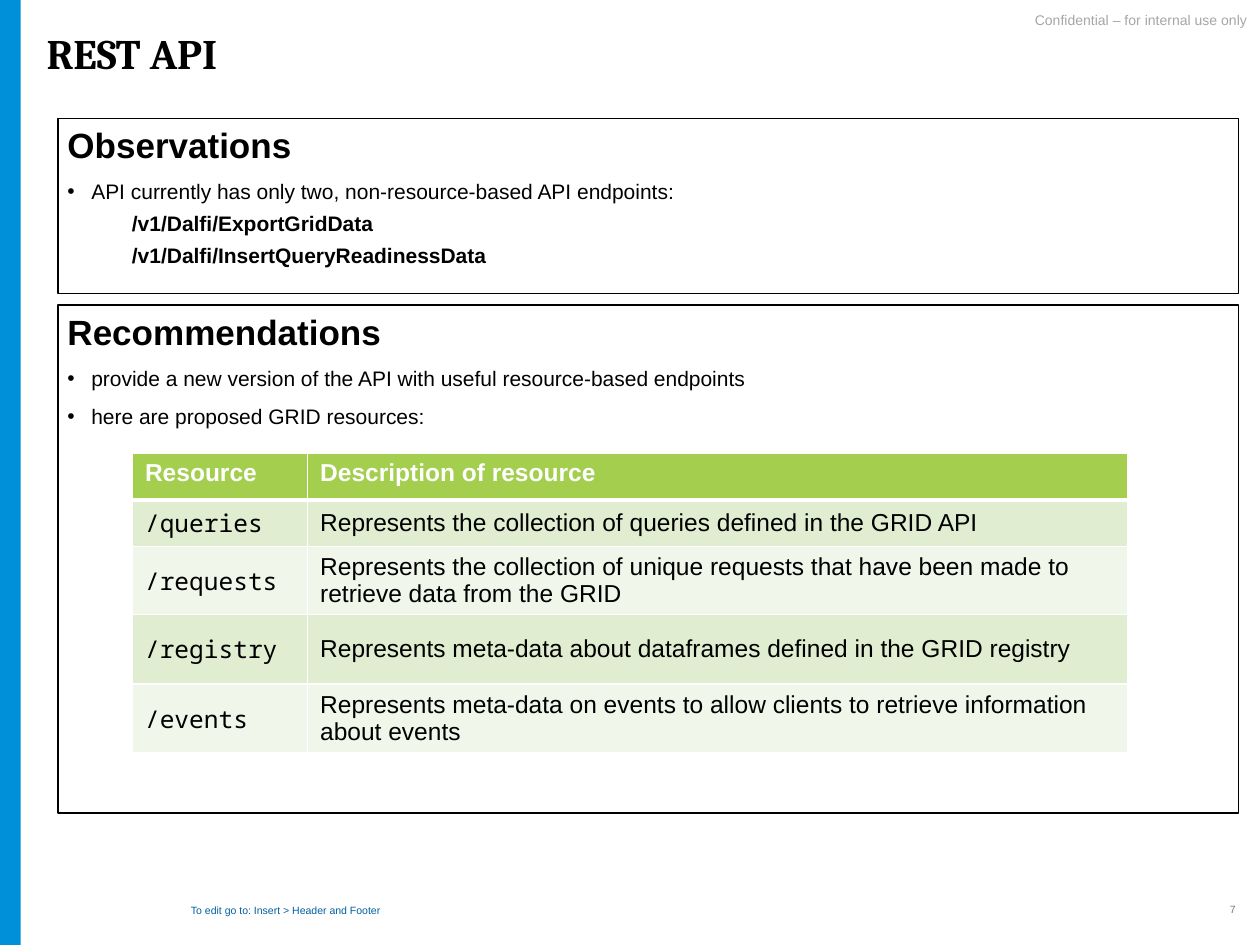
from lxml.etree import SubElement
from pptx import Presentation
from pptx.dml.color import RGBColor
from pptx.enum.shapes import MSO_SHAPE
from pptx.enum.text import MSO_ANCHOR, MSO_AUTO_SIZE, PP_ALIGN
from pptx.oxml.ns import qn
from pptx.util import Cm, Pt

COLORS = {
    "black": "000000",
    "white": "FFFFFF",
    "stripe": "0090DA",
    "notice": "A6A6A6",
    "number": "75787B",
    "footer": "0061A0",
    "header": "A3CE4E",
    "odd": "E0EDD0",
    "even": "F0F6E9",
}


def style_text(para, size, color, bold=False, name="Arial"):
    para.font.size = Pt(size)
    para.font.bold = bold
    para.font.name = name
    para.font.color.rgb = RGBColor.from_string(COLORS[color])


def set_frame(frame, anchor, side=0.19, edge=0.1):
    frame.word_wrap = True
    frame.auto_size = MSO_AUTO_SIZE.NONE
    frame.vertical_anchor = anchor
    frame.margin_left = frame.margin_right = Cm(side)
    frame.margin_top = frame.margin_bottom = Cm(edge)


deck = Presentation()
deck.slide_width, deck.slide_height = Cm(25.4), Cm(19.05)
page = deck.slides.add_slide(deck.slide_layouts.get_by_name("Two Content"))
title, observations, recommendations = page.placeholders

stripe = page.shapes.add_shape(MSO_SHAPE.RECTANGLE, 0, 0, Cm(0.42), deck.slide_height)
stripe.shadow.inherit = False
stripe.fill.solid()
stripe.fill.fore_color.rgb = RGBColor.from_string(COLORS["stripe"])
stripe.line.fill.background()

title.left, title.top, title.width, title.height = Cm(0.75), Cm(0.56), Cm(21.97), Cm(1.24)
set_frame(title.text_frame, MSO_ANCHOR.TOP)
title.text_frame.text = "REST API"
para = title.text_frame.paragraphs[0]
para.alignment = PP_ALIGN.LEFT
para.line_spacing = 0.9
style_text(para, 24, "black", True, "Cambria")

small_texts = [
    ("Confidential – for internal use only", 17.63, 0.28, 7.77, 0.58, 8, "notice",
     PP_ALIGN.RIGHT, MSO_ANCHOR.TOP, 0.25, 0, 0.9),
    ("To edit go to: Insert > Header and Footer", 3.66, 18.14, 8.59, 0.41, 6, "footer",
     PP_ALIGN.LEFT, MSO_ANCHOR.MIDDLE, 0.19, 0.1, 1.0),
    ("7", 23.22, 17.83, 1.88, 1.02, 6, "number",
     PP_ALIGN.RIGHT, MSO_ANCHOR.MIDDLE, 0.19, 0.1, 1.0),
]
for text, left, top, width, height, size, color, align, anchor, side, edge, spacing in small_texts:
    box = page.shapes.add_textbox(Cm(left), Cm(top), Cm(width), Cm(height))
    set_frame(box.text_frame, anchor, side, edge)
    box.text_frame.text = text
    para = box.text_frame.paragraphs[0]
    para.alignment = align
    para.line_spacing = spacing
    style_text(para, size, color)

KINDS = {
    "heading": dict(size=20, bold=True, level=0, before=7.5, margin=0, indent=0),
    "bullet": dict(size=12, bold=False, level=0, before=7.5, margin=0.48, indent=-0.48),
    "endpoint": dict(size=12, bold=True, level=3, before=3.8, margin=1.3, indent=0),
}
sections = [
    (observations, 2.39, 3.53, [
        ("heading", "Observations"),
        ("bullet", "API currently has only two, non-resource-based API endpoints:"),
        ("endpoint", "/v1/Dalfi/ExportGridData"),
        ("endpoint", "/v1/Dalfi/InsertQueryReadinessData"),
    ]),
    (recommendations, 6.15, 10.24, [
        ("heading", "Recommendations"),
        ("bullet", "provide a new version of the API with useful resource-based endpoints"),
        ("bullet", "here are proposed GRID resources:"),
    ]),
]
for box, top, height, lines in sections:
    box.left, box.top, box.width, box.height = Cm(1.17), Cm(top), Cm(23.8), Cm(height)
    box.line.color.rgb = RGBColor.from_string(COLORS["black"])
    box.line.width = Pt(0.75)
    frame = box.text_frame
    set_frame(frame, MSO_ANCHOR.TOP)
    frame.text = "\n".join(text for kind, text in lines)
    for para, (kind, text) in zip(frame.paragraphs, lines):
        look = KINDS[kind]
        para.level = look["level"]
        para.space_before = Pt(look["before"])
        props = para._p.get_or_add_pPr()
        props.set("marL", str(Cm(look["margin"])))
        props.set("indent", str(Cm(look["indent"])))
        if kind == "bullet":
            SubElement(props, qn("a:buChar")).set("char", "•")
        else:
            SubElement(props, qn("a:buNone"))
        style_text(para, look["size"], "black", look["bold"])

resources = [
    ("Resource", "Description of resource"),
    ("/queries", "Represents the collection of queries defined in the GRID API"),
    ("/requests", "Represents the collection of unique requests that have been made to "
                  "retrieve data from the GRID"),
    ("/registry", "Represents meta-data about dataframes defined in the GRID registry"),
    ("/events", "Represents meta-data on events to allow clients to retrieve information "
                "about events"),
]
row_heights = [0.94, 0.94, 0.94, 1.4, 1.4]
column_widths = [3.53, 16.53]
table = page.shapes.add_table(len(resources), 2, Cm(2.67), Cm(9.14),
                              Cm(sum(column_widths)), Cm(sum(row_heights))).table
for column, width in zip(table.columns, column_widths):
    column.width = Cm(width)
for r, (height, texts) in enumerate(zip(row_heights, resources)):
    table.rows[r].height = Cm(height)
    for c, text in enumerate(texts):
        cell = table.cell(r, c)
        cell.text = text
        cell.vertical_anchor = MSO_ANCHOR.MIDDLE if r else MSO_ANCHOR.TOP
        props = cell._tc.get_or_add_tcPr()
        for side in "LRTB":
            thick = (r, side) in [(0, "B"), (1, "T")]
            border = SubElement(props, qn(f"a:ln{side}"), w=str(Pt(3 if thick else 1)))
            paint = SubElement(border, qn("a:solidFill"))
            SubElement(paint, qn("a:srgbClr"), val=COLORS["white"])
        cell.fill.solid()
        band = "header" if r == 0 else "odd" if r % 2 else "even"
        cell.fill.fore_color.rgb = RGBColor.from_string(COLORS[band])
        style_text(cell.text_frame.paragraphs[0], 14, "black" if r else "white", r == 0,
                   "Noto Sans Mono" if r and c == 0 else "Arial")

deck.save("out.pptx")
